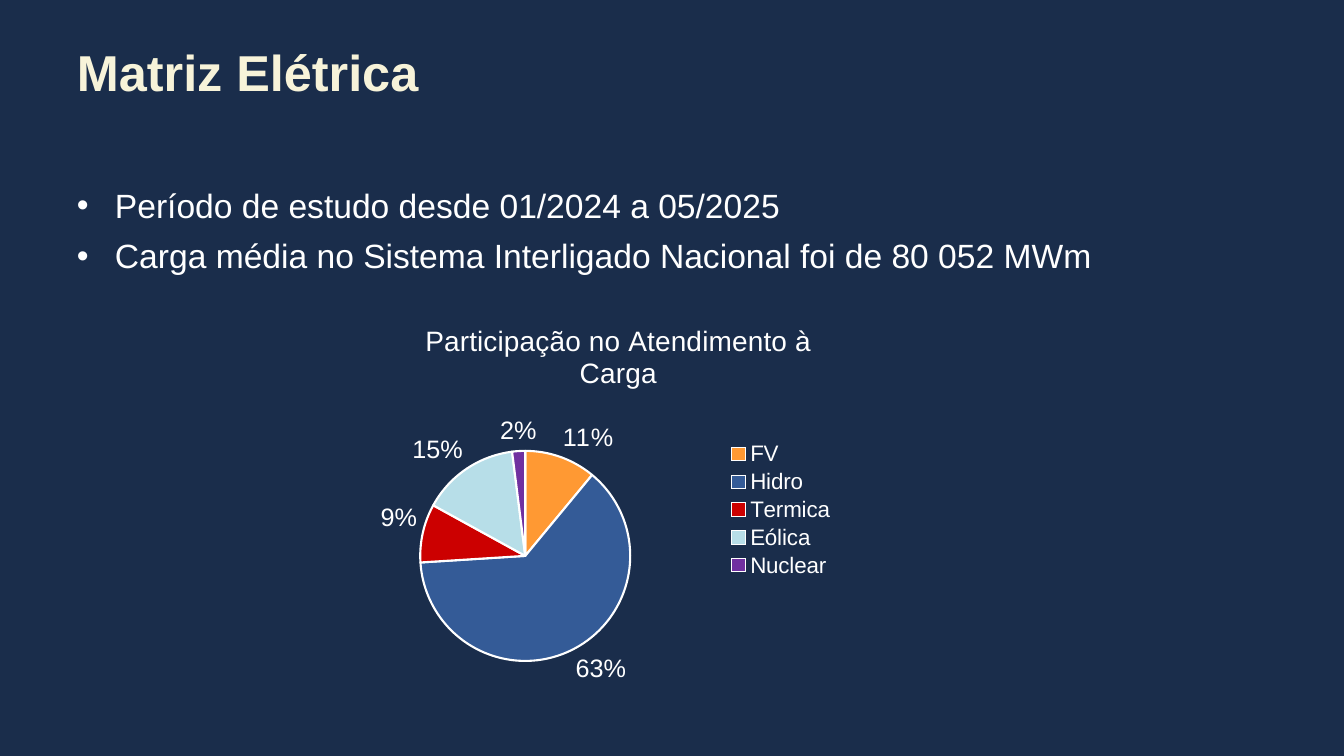
from lxml.etree import SubElement
from pptx import Presentation
from pptx.chart.data import CategoryChartData
from pptx.dml.color import RGBColor
from pptx.enum.chart import XL_CHART_TYPE, XL_LABEL_POSITION as LabelPosition
from pptx.enum.chart import XL_LEGEND_POSITION as LegendPosition
from pptx.oxml import parse_xml
from pptx.oxml.ns import nsdecls, qn
from pptx.util import Emu, Pt

FONT = "Arial"
NAVY, CREAM, WHITE = "1A2D4B", "F7F3D9", "FFFFFF"
SOURCES = [
    ("FV", 0.11, "FF9933"),
    ("Hidro", 0.63, "345B97"),
    ("Termica", 0.09, "CC0000"),
    ("Eólica", 0.15, "B7DEE8"),
    ("Nuclear", 0.02, "7030A0"),
]
BULLETS = [
    "Período de estudo desde 01/2024 a 05/2025",
    "Carga média no Sistema Interligado Nacional foi de 80 052 MWm",
]


def px(length):
    return Emu(length * 9080)


def paint(fill, color):
    fill.solid()
    fill.fore_color.rgb = RGBColor.from_string(color)


def style_font(font, size, color=WHITE, bold=False):
    font.name, font.size, font.bold = FONT, Pt(size), bold
    font.color.rgb = RGBColor.from_string(color)


def add_text(page, top, inset_top, lines, size, color, bold=False, bulleted=False):
    box = page.shapes.add_textbox(px(67), px(top), px(1208), px(126))
    frame = box.text_frame
    frame.word_wrap = True
    frame.margin_top = px(inset_top)
    frame.text = "\n".join(lines)
    for index, para in enumerate(frame.paragraphs):
        if bulleted:
            add_bullet(para)
        if index:
            para.space_before = Pt(7)
        for span in para.runs:
            style_font(span.font, size, color, bold)


def add_bullet(para):
    properties = para._p.get_or_add_pPr()
    properties.set("marL", str(px(38)))
    properties.set("indent", str(px(-38)))
    SubElement(properties, qn("a:buFont"), typeface=FONT)
    SubElement(properties, qn("a:buChar"), char="•")


def place_part(chart, tag, index, **fractions):
    """Set a chart part's manual layout, as fractions of the chart area."""
    part = chart.element.find(f".//{qn(tag)}")
    for old in part.findall(qn("c:layout")):
        part.remove(old)
    layout = parse_xml(f"<c:layout {nsdecls('c')}><c:manualLayout/></c:layout>")
    manual = layout[0]
    if tag == "c:plotArea":
        SubElement(manual, qn("c:layoutTarget"), val="inner")
    for axis in "xy":
        SubElement(manual, qn(f"c:{axis}Mode"), val="edge")
    for name, value in fractions.items():
        SubElement(manual, qn(f"c:{name}"), val=str(value))
    part.insert(index, layout)


def add_pie(page):
    names, shares, colors = zip(*SOURCES)
    data = CategoryChartData(number_format="0%")
    data.categories = names
    data.add_series("Series 1", shares)
    chart = page.shapes.add_chart(
        XL_CHART_TYPE.PIE, px(307), px(314), px(538), px(386), data
    ).chart
    style_font(chart.font, 10)

    chart.has_title = True
    title = chart.chart_title.text_frame
    title.text = "Participação no Atendimento à Carga"
    style_font(title.paragraphs[0].runs[0].font, 20)

    chart.has_legend = True
    chart.legend.position = LegendPosition.RIGHT
    chart.legend.include_in_layout = False
    style_font(chart.legend.font, 16)

    plot = chart.plots[0]
    plot.vary_by_categories = True
    for index, color in enumerate(colors):
        slice_format = plot.series[0].points[index].format
        paint(slice_format.fill, color)
        paint(slice_format.line.fill, WHITE)
        slice_format.line.width = Pt(1.5)

    plot.has_data_labels = True
    labels = plot.data_labels
    labels.show_value = True
    labels.number_format = "0%"
    labels.number_format_is_linked = False
    labels.position = LabelPosition.OUTSIDE_END
    style_font(labels.font, 18)

    place_part(chart, "c:title", 1, x=0.21, y=0.01)
    place_part(chart, "c:plotArea", 0, x=0.21, y=0.35, w=0.39, h=0.55)
    place_part(chart, "c:legend", 1, x=0.78, y=0.32, w=0.2, h=0.37)


def main():
    deck = Presentation()
    deck.slide_width, deck.slide_height = px(1343), px(755)
    page = deck.slides.add_slide(deck.slide_layouts[6])
    paint(page.background.fill, NAVY)
    add_text(page, 30, 11, ["Matriz Elétrica"], 36, CREAM, bold=True)
    add_text(page, 176, 9, BULLETS, 24, WHITE, bulleted=True)
    add_pie(page)
    deck.save("out.pptx")


if __name__ == "__main__":
    main()
